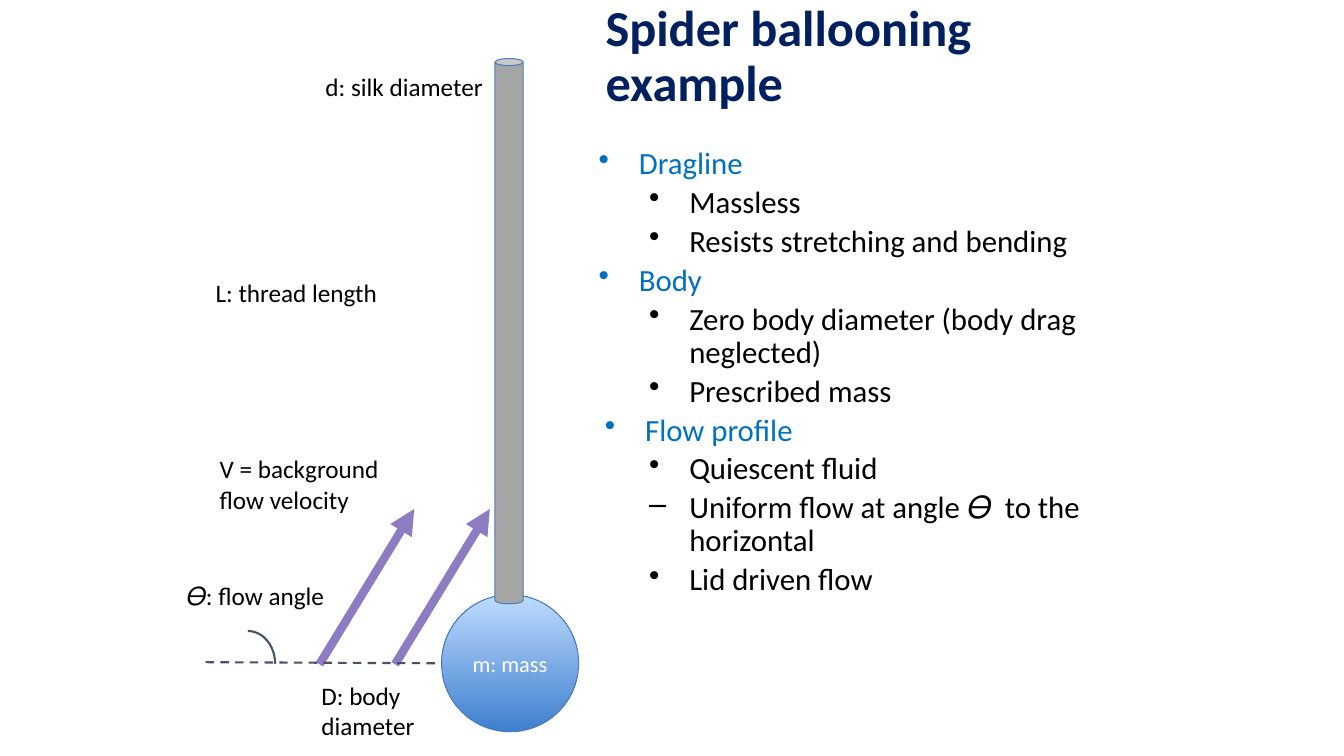
"""Builds the spider ballooning slide."""
from dataclasses import dataclass

from lxml import etree
from pptx import Presentation
from pptx.dml.color import RGBColor
from pptx.enum.dml import MSO_LINE
from pptx.enum.shapes import MSO_CONNECTOR, MSO_SHAPE
from pptx.enum.text import MSO_ANCHOR, PP_ALIGN
from pptx.oxml.ns import qn
from pptx.util import Pt

TOP, MIDDLE = MSO_ANCHOR.TOP, MSO_ANCHOR.MIDDLE
LEFT, CENTER = PP_ALIGN.LEFT, PP_ALIGN.CENTER
OVAL, CAN, ARC = MSO_SHAPE.OVAL, MSO_SHAPE.CAN, MSO_SHAPE.ARC
STRAIGHT, DASH = MSO_CONNECTOR.STRAIGHT, MSO_LINE.DASH


@dataclass(frozen=True)
class Theme:
    """Holds the colours, font and type sizes."""
    font: str = "Calibri"
    black: str = "000000"
    white: str = "FFFFFF"
    navy: str = "002060"
    blue: str = "0070C0"
    purple: str = "8E7CC3"
    slate: str = "44546A"
    silk: str = "A5A5A5"
    edge: str = "4A7DBB"
    deep: str = "3E7FCE"
    pale: str = "BFDCFF"
    title: int = 36
    body: int = 22
    label: int = 18
    mass: int = 16


class Sketch:
    """Draws styled elements on one slide."""

    def __init__(self, slide, theme):
        self.slide = slide
        self.theme = theme

    def style(self, para, size, color, bold=False):
        """Sets the font of a paragraph."""
        font = para.font
        font.name, font.size, font.bold = self.theme.font, Pt(size), bold
        font.color.rgb = RGBColor.from_string(color)

    def frame(self, box, pad, anchor=TOP):
        """Adds a wrapping text box and returns its frame."""
        frame = self.slide.shapes.add_textbox(*map(Pt, box)).text_frame
        frame.word_wrap = True
        frame.vertical_anchor = anchor
        frame.margin_left = frame.margin_right = Pt(7.2)
        frame.margin_top = frame.margin_bottom = Pt(pad)
        return frame

    def title(self, text, box):
        """Adds the slide title."""
        para = self.frame(box, 7.2, MIDDLE).paragraphs[0]
        para.text = text
        para.line_spacing = 0.9
        self.style(para, self.theme.title, self.theme.navy, True)

    def label(self, text, box, pad=3.6, anchor=TOP):
        """Adds a label of the diagram."""
        para = self.frame(box, pad, anchor).paragraphs[0]
        para.text = text
        self.style(para, self.theme.label, self.theme.black)

    def bullets(self, items, box):
        """Adds a list of (level, indent, mark, text) items."""
        frame = self.frame(box, 7.2)
        for i, (level, indent, mark, text) in enumerate(items):
            para = frame.add_paragraph() if i else frame.paragraphs[0]
            para.text = text
            para.level = level
            props = para._p.get_or_add_pPr()
            props.set("marL", str(Pt(indent)))
            props.set("indent", str(Pt(-28.8)))
            etree.SubElement(props, qn("a:buChar"), char=mark)
            para.line_spacing, para.space_after = 0.9, Pt(4)
            color = self.theme.black if level else self.theme.blue
            self.style(para, self.theme.body, color)

    def shape(self, kind, box, edge, width):
        """Adds an unfilled outlined shape and returns it."""
        shape = self.slide.shapes.add_shape(kind, *map(Pt, box))
        shape.shadow.inherit = False
        shape.fill.background()
        shape.line.color.rgb = RGBColor.from_string(edge)
        shape.line.width = Pt(width)
        return shape

    def thread(self, box):
        """Adds the silk thread."""
        fill = self.shape(CAN, box, self.theme.edge, 0.75).fill
        fill.solid()
        fill.fore_color.rgb = RGBColor.from_string(self.theme.silk)

    def ball(self, text, box):
        """Adds the shaded spider body with its caption."""
        shape = self.shape(OVAL, box, self.theme.edge, 0.75)
        shape.fill.gradient()
        shape.fill.gradient_angle = 90
        shades = self.theme.deep, self.theme.pale
        for place, (stop, shade) in enumerate(zip(shape.fill.gradient_stops, shades)):
            stop.position = place
            stop.color.rgb = RGBColor.from_string(shade)
        frame = shape.text_frame
        frame.vertical_anchor = MIDDLE
        para = frame.paragraphs[0]
        para.text = text
        para.alignment = CENTER
        self.style(para, self.theme.mass, self.theme.white)

    def line(self, ends, color, width):
        """Adds a straight line and returns its format."""
        link = self.slide.shapes.add_connector(STRAIGHT, *map(Pt, ends))
        link.line.color.rgb = RGBColor.from_string(color)
        link.line.width = Pt(width)
        etree.SubElement(link._element.spPr, qn("a:effectLst"))
        return link.line

    def arrow(self, ends):
        """Adds a flow arrow."""
        line = self.line(ends, self.theme.purple, 6)
        etree.SubElement(line._get_or_add_ln(), qn("a:tailEnd"), type="triangle")


def main():
    """Builds and saves the slide."""
    deck = Presentation()
    deck.slide_width, deck.slide_height = Pt(960), Pt(540)
    theme = Theme()
    sketch = Sketch(deck.slides.add_slide(deck.slide_layouts[6]), theme)

    sketch.bullets([
        (0, 36, "•", "Dragline"),
        (1, 72, "•", "Massless"),
        (1, 72, "•", "Resists stretching and bending"),
        (0, 36, "•", "Body"),
        (1, 72, "•", "Zero body diameter (body drag neglected)"),
        (1, 72, "•", "Prescribed mass"),
        (0, 40.5, "•", "Flow profile"),
        (1, 72, "•", "Quiescent fluid"),
        (1, 72, "–", "Uniform flow at angle 𝛳  to the horizontal"),
        (1, 72, "•", "Lid driven flow"),
    ], (413.3, 98.6, 445, 240.5))
    for left in (228.2, 282.2):
        sketch.arrow((left, 474.5, left + 67.7, 363.6))
    sketch.title("Spider ballooning example", (425.5, 15.8, 391, 51.1))
    sketch.ball("m: mass", (315.4, 424.8, 97.9, 97.9))
    sketch.thread((353.5, 41.8, 20.2, 389.5))
    sketch.label("D: body diameter", (222.5, 482.4, 132.5, 51.1))
    sketch.label("L: thread length", (146.9, 194.4, 187.9, 59))
    sketch.label("d: silk diameter", (225.4, 47.5, 232.6, 51.1))
    sketch.label("V = background flow velocity", (149.8, 316.8, 132.5, 46.8), 7.2)
    sketch.line((146.9, 473, 315.4, 473.8), theme.slate, 1.5).dash_style = DASH
    sketch.shape(ARC, (157.7, 450.7, 38.9, 46.8), theme.slate, 1.5)
    sketch.label("𝛳: flow angle", (126, 401.8, 120.2, 46.8), 7.2, MIDDLE)
    deck.save("out.pptx")


if __name__ == "__main__":
    main()
